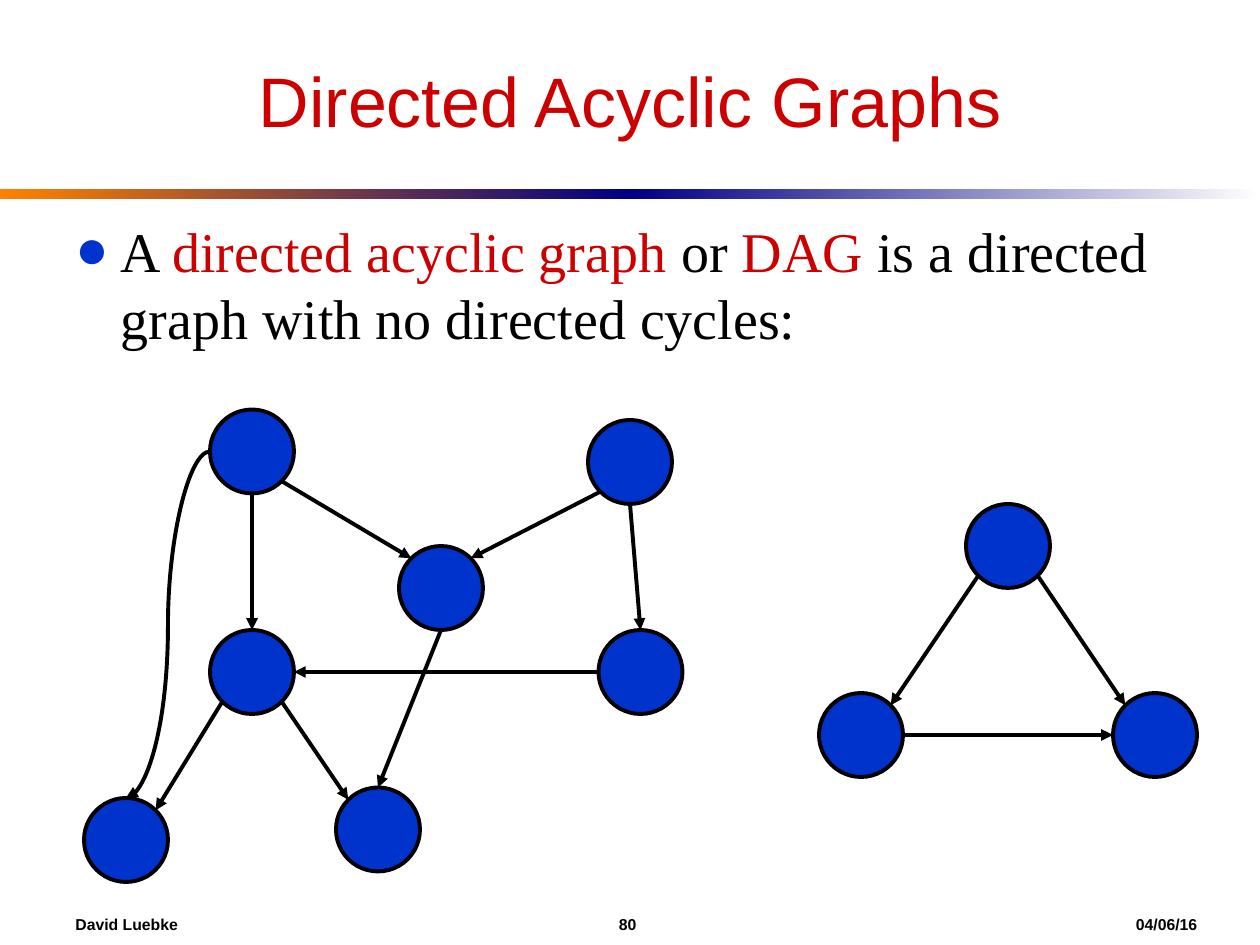
from math import cos, radians, sin

from lxml.etree import SubElement
from pptx import Presentation
from pptx.dml.color import RGBColor
from pptx.enum.shapes import MSO_CONNECTOR, MSO_SHAPE
from pptx.enum.text import MSO_ANCHOR, PP_ALIGN
from pptx.oxml.ns import qn
from pptx.util import Pt

BLACK, BLUE, RED, NAVY = "000000", "0033CC", "CC0000", "000082"
DIAMETER = 48
NODES = {
    "a": (120, 234), "b": (336, 240), "c": (228, 312), "d": (120, 360),
    "e": (342, 360), "f": (192, 450), "g": (48, 456),
    "top": (552, 288), "right": (636, 396), "left": (468, 396),
}
SITES = {"E": 0, "SE": 45, "S": 90, "SW": 135, "W": 180, "NW": 225, "N": 270, "NE": 315}
EDGES = [
    ("a", "S", "d", "N"), ("a", "SE", "c", "NW"), ("b", "SW", "c", "NE"),
    ("b", "S", "e", "N"), ("e", "W", "d", "E"), ("c", "S", "f", "N"),
    ("d", "SE", "f", "NW"), ("d", "SW", "g", "NE"),
    ("top", "SW", "left", "NE"), ("left", "E", "right", "W"),
    ("top", "SE", "right", "NW"),
]


def rgb(color):
    """Turn a hex string into a colour."""
    return RGBColor.from_string(color)


def add_bar(s, x, start, end):
    """Add one half of the gradient rule under the title."""
    sp = s.shapes.add_shape(MSO_SHAPE.RECTANGLE, Pt(x), Pt(108), Pt(360), Pt(6))
    sp.shadow.inherit = False
    sp.line.fill.background()
    sp.fill.gradient()
    sp.fill.gradient_angle = 0
    for stop, color in zip(sp.fill.gradient_stops, (start, end)):
        stop.color.rgb = rgb(color)


def add_text(s, box, runs, font, size, bold=False, anchor=MSO_ANCHOR.TOP):
    """Add a one-paragraph text box from (text, colour) runs."""
    tf = s.shapes.add_textbox(*map(Pt, box)).text_frame
    tf.word_wrap = True
    tf.vertical_anchor = anchor
    p = tf.paragraphs[0]
    for text, color in runs:
        r = p.add_run()
        r.text = text
        r.font.name, r.font.size, r.font.bold = font, Pt(size), bold
        r.font.color.rgb = rgb(color)
    return p


def set_bullet(p, char, color, font, indent):
    """Give a paragraph a coloured bullet and a hanging indent."""
    pPr = p._p.get_or_add_pPr()
    pPr.set("marL", str(Pt(indent)))
    pPr.set("indent", str(-Pt(indent)))
    SubElement(SubElement(pPr, qn("a:buClr")), qn("a:srgbClr"), val=color)
    SubElement(pPr, qn("a:buFont"), typeface=font)
    SubElement(pPr, qn("a:buChar"), char=char)


def set_tabs(p, stops):
    """Set tab stops from (position, alignment) pairs."""
    tabs = SubElement(p._p.get_or_add_pPr(), qn("a:tabLst"))
    for pos, align in stops:
        SubElement(tabs, qn("a:tab"), pos=str(Pt(pos)), algn=align)


def add_node(s, x, y):
    """Add a graph vertex."""
    sp = s.shapes.add_shape(MSO_SHAPE.OVAL, Pt(x), Pt(y), Pt(DIAMETER), Pt(DIAMETER))
    sp.shadow.inherit = False
    sp.fill.solid()
    sp.fill.fore_color.rgb = rgb(BLUE)
    sp.line.color.rgb = rgb(BLACK)
    sp.line.width = Pt(2.25)


def site(node, side):
    """Return the point on a vertex's rim at a compass side."""
    x, y = NODES[node]
    radius, angle = DIAMETER / 2, radians(SITES[side])
    return Pt(x + radius + radius * cos(angle)), Pt(y + radius + radius * sin(angle))


def add_edge(s, tail, tail_side, head, head_side, kind=MSO_CONNECTOR.STRAIGHT):
    """Add an arrow from one vertex to another."""
    cxn = s.shapes.add_connector(kind, *site(tail, tail_side), *site(head, head_side))
    cxn.line.color.rgb = rgb(BLACK)
    cxn.line.width = Pt(2.25)
    SubElement(cxn.line._get_or_add_ln(), qn("a:tailEnd"), type="triangle")
    SubElement(cxn._element.spPr, qn("a:effectLst"))


def main():
    """Build the slide and save it."""
    prs = Presentation()
    prs.slide_width, prs.slide_height = Pt(720), Pt(540)
    s = prs.slides.add_slide(prs.slide_layouts[6])

    add_bar(s, 0, "FF8200", NAVY)
    add_bar(s, 360, NAVY, "FFFFFF")

    footer = add_text(s, (36, 516, 660, 24), [("David Luebke\t80\t04/06/16", BLACK)],
                      "Arial", 9, True, MSO_ANCHOR.MIDDLE)
    set_tabs(footer, [(315.5, "ctr"), (606, "l")])

    title = add_text(s, (36, 18, 648, 78), [("Directed Acyclic Graphs", RED)],
                     "Arial", 40, anchor=MSO_ANCHOR.MIDDLE)
    title.alignment = PP_ALIGN.CENTER

    body = add_text(s, (36, 120, 648, 342), [
        ("A ", BLACK), ("directed acyclic graph", RED), (" or ", BLACK), ("DAG", RED),
        (" is a directed graph with no directed cycles:", BLACK),
    ], "Times New Roman", 32)
    body.space_before = Pt(8)
    set_bullet(body, "●", BLUE, "Times New Roman", 26)

    for x, y in NODES.values():
        add_node(s, x, y)
    for edge in EDGES:
        add_edge(s, *edge)
    add_edge(s, "a", "W", "g", "N", MSO_CONNECTOR.CURVE)

    prs.save("out.pptx")


if __name__ == "__main__":
    main()
